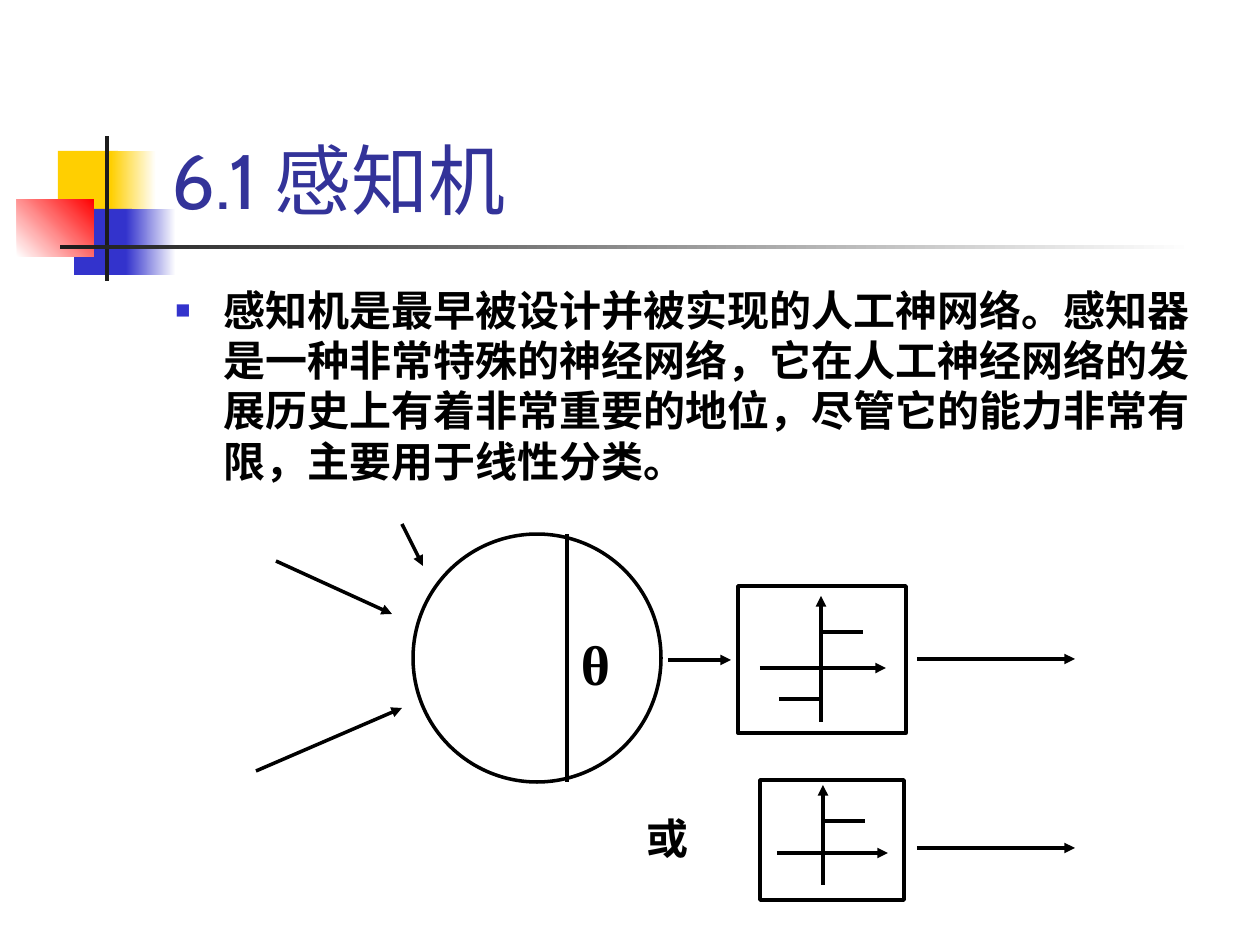
"""Build the perceptron slide with its neuron diagram and two step functions."""
from pptx import Presentation, util as u
from pptx.dml.color import RGBColor
from pptx.enum import shapes, text
from pptx.oxml import parse_xml
from pptx.oxml.ns import nsdecls

SCALE = 914400 / 126
COLOURS = {"black": "000000", "white": "FFFFFF", "gold": "FFCF01", "blue": "3333CC",
           "red": "FF0000", "charcoal": "1C1C1C", "navy": "333399"}

TITLE = ("6.1 感知机", (159, 29, 1074, 202))
BODY = ((163, 278, 1071, 567), [
    ("感知机是最早被设计并被实现的人工神网络。", "Cabin"),
    ("感知器是一种非常特殊的神经网络，它在人工神经网络的发展历史上有着非常重要的地位，"
     "尽管它的能力非常有限，主要用于线性分类。", "Arial")])
LABELS = [("θ", (581, 629, 63, 67), 32, 0), ("或", (634, 806, 84, 63), 24, None)]

DECORATION = [
    ((58, 151, 60, 66), ["gold"], 0),
    ((111, 151, 45, 66), ["gold", "white"], 0),
    ((74, 209, 58, 66), ["blue"], 0),
    ((126, 209, 50, 66), ["blue", "white"], 0),
    ((17, 199, 77, 58), ["white", "red"], 45),
    ((105, 136, 4, 145), ["charcoal"], 0),
    ((60, 245, 1134, 4), ["charcoal", "white"], 0)]

OUTLINES = [("OVAL", (413, 534, 248, 248)),
            ("RECTANGLE", (738, 586, 168, 147)),
            ("RECTANGLE", (760, 780, 144, 120))]
ARROWS = [
    (402, 524, 423, 566), (276, 561, 392, 614), (256, 771, 402, 708),
    (668, 660, 731, 660), (917, 659, 1075, 659), (917, 848, 1075, 848),
    (760, 668, 886, 668), (821, 722, 821, 596),
    (777, 853, 888, 853), (823, 885, 823, 785)]
PLAIN_LINES = [(567, 534, 567, 782), (821, 632, 863, 632), (779, 699, 821, 699),
               (823, 821, 865, 821)]


def px(values):
    return [round(value * SCALE) for value in values]


def colour(name):
    return RGBColor.from_string(COLOURS[name])


def apply(target, values):
    for name, value in values.items():
        setattr(target, name, value)


def add_span(para, words, font, size, tint, bold):
    span = para.add_run()
    span.text = words
    apply(span.font, {"name": font, "size": u.Pt(size), "bold": bold})
    span.font.color.rgb = colour(tint)


def add_box(page, place):
    box = page.shapes.add_textbox(*px(place))
    box.text_frame.word_wrap = True
    return box.text_frame


def add_shape(page, kind, place):
    shape = page.shapes.add_shape(getattr(shapes.MSO_SHAPE, kind), *px(place))
    shape.shadow.inherit = False
    return shape


def add_decoration(page, place, tints, angle):
    block = add_shape(page, "RECTANGLE", place)
    block.line.fill.background()
    if len(tints) == 1:
        block.fill.solid()
        block.fill.fore_color.rgb = colour(tints[0])
        return
    block.fill.gradient()
    block.fill.gradient_angle = angle
    for stop, tint in zip(block.fill.gradient_stops, tints):
        stop.color.rgb = colour(tint)


def set_line(line):
    line.width = u.Pt(2)
    line.color.rgb = colour("black")


def add_line(page, ends, arrow):
    line = page.shapes.add_connector(shapes.MSO_CONNECTOR.STRAIGHT, *px(ends))
    set_line(line.line)
    if arrow:
        line.line._get_or_add_ln().append(
            parse_xml(f'<a:tailEnd {nsdecls("a")} type="triangle"/>'))
    line._element.spPr.append(parse_xml(f'<a:effectLst {nsdecls("a")}/>'))


def add_title(page, words, place):
    title = page.shapes.title
    apply(title, dict(zip(("left", "top", "width", "height"), px(place))))
    apply(title.text_frame, {"vertical_anchor": text.MSO_ANCHOR.BOTTOM, "word_wrap": True,
                             "auto_size": text.MSO_AUTO_SIZE.NONE})
    para = title.text_frame.paragraphs[0]
    para.alignment = text.PP_ALIGN.LEFT
    add_span(para, words, "Cabin", 44, "navy", False)


def add_body(page, place, spans):
    para = add_box(page, place).paragraphs[0]
    props = para._p.get_or_add_pPr()
    indent = round(48 * SCALE)
    props.set("marL", str(indent))
    props.set("indent", str(-indent))
    for bullet in (f'<a:buClr {nsdecls("a")}><a:srgbClr val="{COLOURS["blue"]}"/></a:buClr>',
                   f'<a:buSzPct {nsdecls("a")} val="60000"/>',
                   f'<a:buFont {nsdecls("a")} typeface="Arial"/>',
                   f'<a:buChar {nsdecls("a")} char="■"/>'):
        props.append(parse_xml(bullet))
    for words, font in spans:
        add_span(para, words, font, 24, "black", True)


def add_label(page, words, place, size, inset):
    frame = add_box(page, place)
    if inset is not None:
        apply(frame, {f"margin_{side}": inset for side in ("left", "top", "right", "bottom")})
    add_span(frame.paragraphs[0], words, "Times New Roman", size, "black", True)


def main():
    deck = Presentation()
    apply(deck, {"slide_width": u.Inches(10), "slide_height": u.Inches(7.5)})
    page = deck.slides.add_slide(deck.slide_layouts[5])
    for decoration in DECORATION:
        add_decoration(page, *decoration)
    add_title(page, *TITLE)
    add_body(page, *BODY)
    for kind, place in OUTLINES:
        outline = add_shape(page, kind, place)
        outline.fill.background()
        set_line(outline.line)
    for ends in ARROWS:
        add_line(page, ends, True)
    for ends in PLAIN_LINES:
        add_line(page, ends, False)
    for label in LABELS:
        add_label(page, *label)
    deck.save("out.pptx")


if __name__ == "__main__":
    main()
